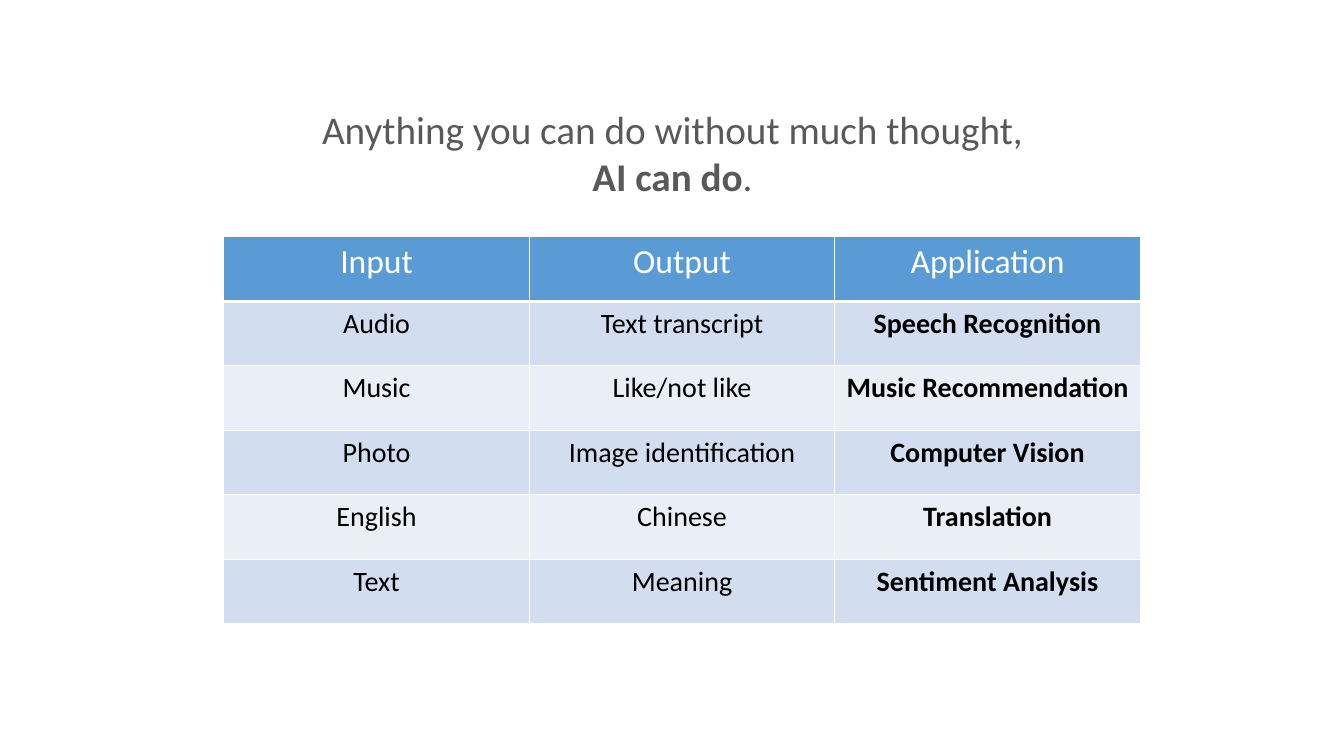
from dataclasses import dataclass

from lxml import etree
from pptx import Presentation
from pptx import util as u
from pptx.dml.color import RGBColor
from pptx.enum import text
from pptx.oxml import ns

FONT = "Calibri"
WHITE = RGBColor(0xFF, 0xFF, 0xFF)
BLACK = RGBColor(0x00, 0x00, 0x00)
GRAY = RGBColor(0x59, 0x59, 0x59)
BLUE = RGBColor(0x5B, 0x9B, 0xD5)
BAND_DARK = RGBColor(0xD2, 0xDE, 0xEF)
BAND_LIGHT = RGBColor(0xEA, 0xEF, 0xF7)

COLUMN_WIDTH = 3.03
ROW_HEIGHT = 0.64


@dataclass(frozen=True)
class Style:
    size: int
    color: RGBColor
    bold: bool = False


@dataclass(frozen=True)
class Example:
    source: str
    output: str
    application: str


TITLE = Style(28, GRAY)
TITLE_BOLD = Style(28, GRAY, bold=True)
HEADER = Style(24, WHITE)
BODY = Style(20, BLACK)
BODY_BOLD = Style(20, BLACK, bold=True)

TITLE_LINES = [
    [("Anything you can do without much thought,", TITLE)],
    [("AI can do", TITLE_BOLD), (".", TITLE)],
]
HEADINGS = Example("Input", "Output", "Application")
EXAMPLES = [
    Example("Audio", "Text transcript", "Speech Recognition"),
    Example("Music", "Like/not like", "Music Recommendation"),
    Example("Photo", "Image identification", "Computer Vision"),
    Example("English", "Chinese", "Translation"),
    Example("Text", "Meaning", "Sentiment Analysis"),
]


def add_span(para, words: str, style: Style) -> None:
    para.alignment = text.PP_ALIGN.CENTER
    span = para.add_run()
    span.text = words
    span.font.name = FONT
    span.font.size = u.Pt(style.size)
    span.font.bold = style.bold
    span.font.color.rgb = style.color


def add_borders(cell, widths: dict[str, int]) -> None:
    """Draw white cell borders; call before filling, as lines come first."""
    properties = cell._tc.get_or_add_tcPr()
    for side, points in widths.items():
        line = etree.SubElement(properties, ns.qn(f"a:{side}"), w=str(u.Pt(points)))
        fill = etree.SubElement(line, ns.qn("a:solidFill"))
        etree.SubElement(fill, ns.qn("a:srgbClr"), val=str(WHITE))


def fill_row(table, index: int, example: Example, fill: RGBColor,
             styles: list[Style], bottom: int = 1) -> None:
    words = (example.source, example.output, example.application)
    for column, (label, style) in enumerate(zip(words, styles)):
        cell = table.cell(index, column)
        add_borders(cell, {"lnL": 1, "lnR": 1, "lnT": 1, "lnB": bottom})
        cell.fill.solid()
        cell.fill.fore_color.rgb = fill
        add_span(cell.text_frame.paragraphs[0], label, style)


def add_title(page) -> None:
    box = page.shapes.add_textbox(u.Inches(3.05), u.Inches(1), u.Inches(7.24), u.Inches(1.04))
    frame = box.text_frame
    frame.word_wrap = False
    frame.auto_size = text.MSO_AUTO_SIZE.SHAPE_TO_FIT_TEXT
    for index, line in enumerate(TITLE_LINES):
        para = frame.add_paragraph() if index else frame.paragraphs[0]
        for words, style in line:
            add_span(para, words, style)


def add_examples(page) -> None:
    rows = len(EXAMPLES) + 1
    table = page.shapes.add_table(
        rows, 3, u.Inches(2.22), u.Inches(2.35),
        u.Inches(3 * COLUMN_WIDTH), u.Inches(rows * ROW_HEIGHT)).table
    fill_row(table, 0, HEADINGS, BLUE, [HEADER] * 3, bottom=3)
    for index, example in enumerate(EXAMPLES, start=1):
        band = BAND_DARK if index % 2 else BAND_LIGHT
        fill_row(table, index, example, band, [BODY, BODY, BODY_BOLD])


def main() -> None:
    deck = Presentation()
    deck.slide_width, deck.slide_height = u.Inches(13.33), u.Inches(7.5)
    page = deck.slides.add_slide(deck.slide_layouts[6])
    # Statement above the table
    add_title(page)
    # Inputs, outputs and applications
    add_examples(page)
    deck.save("out.pptx")


if __name__ == "__main__":
    main()
